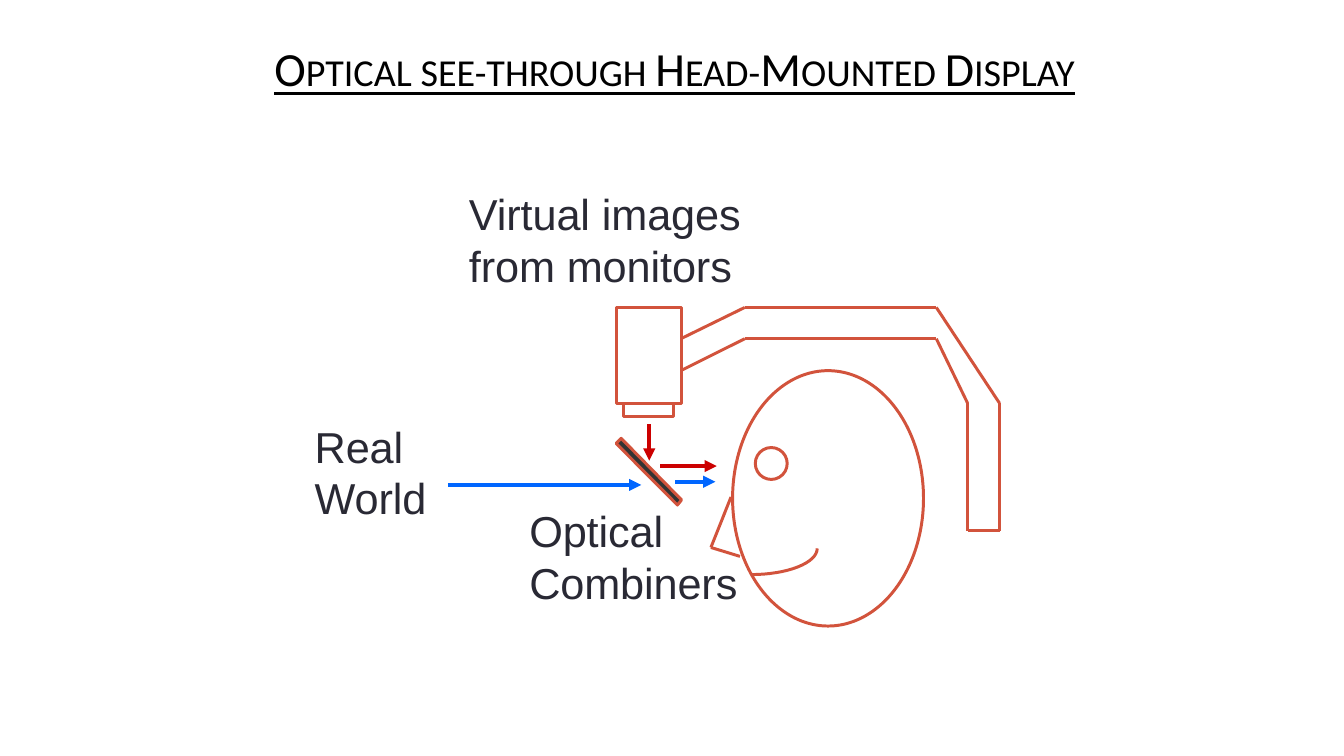
from itertools import pairwise
from math import cos, pi, sin

from lxml.etree import SubElement
from pptx import Presentation
from pptx.dml.color import RGBColor
from pptx.enum.shapes import MSO_CONNECTOR, MSO_SHAPE
from pptx.enum.text import MSO_ANCHOR, MSO_AUTO_SIZE, PP_ALIGN
from pptx.oxml.ns import qn
from pptx.util import Inches, Pt

OUTLINE, MIRROR, TEXT = "D2533C", "333333", "292934"
REAL_LIGHT, VIRTUAL_LIGHT = "0066FF", "CC0000"

deck = Presentation()
deck.slide_width, deck.slide_height = Inches(13.33), Inches(7.5)
page = deck.slides.add_slide(deck.slide_layouts[5])

grid_left, grid_top = Inches(6.12), Inches(3.05)
cell = Inches(3.8) / 12


def place(column, row):
    return round(grid_left + column * cell), round(grid_top + row * cell)


def paint(fill, color):
    fill.solid()
    fill.fore_color.rgb = RGBColor.from_string(color)


title = page.shapes.title
title.left, title.top = Inches(1.77), Inches(0.3)
title.width, title.height = Inches(9.84), Inches(0.85)
frame = title.text_frame
frame.text = "Optical see-through Head-Mounted Display"
frame.word_wrap = True
frame.auto_size = MSO_AUTO_SIZE.NONE
frame.vertical_anchor = MSO_ANCHOR.MIDDLE
para = frame.paragraphs[0]
para.alignment = PP_ALIGN.CENTER
para.line_spacing = 0.8
span = para.runs[0]
span.font.name, span.font.size = "Calibri", Pt(34)
span.font.underline = True
paint(span.font.fill, "000000")
span.font._element.set("cap", "small")

labels = [
    ("Virtual images from monitors", -4.67, -3.85, 8.62),
    ("Real World", -9.5, 3.44, 3.6),
    ("Optical Combiners", -2.78, 6.09, 6.6),
]
for words, column, row, columns in labels:
    box = page.shapes.add_textbox(*place(column, row), round(columns * cell), round(3.38 * cell))
    frame = box.text_frame
    frame.word_wrap = True
    frame.margin_left = Inches(0.01)
    frame.margin_right = frame.margin_bottom = 0
    frame.margin_top = Inches(0.03)
    frame.text = words
    para = frame.paragraphs[0]
    para.line_spacing = Pt(36.9)
    span = para.runs[0]
    span.font.name, span.font.size = "Arial", Pt(30.9)
    paint(span.font.fill, TEXT)
    span.font._element.set("spc", "-6")

drawing = []

presets = [
    (MSO_SHAPE.RECTANGLE, -0.03, 0, 2.06, 3),
    (MSO_SHAPE.RECTANGLE, 0.2, 3, 1.57, 0.41),
    (MSO_SHAPE.OVAL, 3.62, 1.98, 5.98, 8),
    (MSO_SHAPE.OVAL, 4.33, 4.39, 1, 1),
]
for kind, column, row, columns, rows in presets:
    shape = page.shapes.add_shape(kind, *place(column, row), round(columns * cell), round(rows * cell))
    drawing.append((shape, None))

mouth = [(4.2 + 2.07 * cos(step * pi / 32), 7.55 + 0.82 * sin(step * pi / 32)) for step in range(17)]
mirror = [(0.13, 4.1), (2.02, 6.03), (1.89, 6.19), (-0.03, 4.26)]
for points, closed, fill in [(mouth, False, None), (mirror, True, MIRROR)]:
    corners = [place(column, row) for column, row in points]
    builder = page.shapes.build_freeform(*corners[0])
    builder.add_line_segments(corners[1:], close=closed)
    drawing.append((builder.convert_to_shape(), fill))

for shape, fill in drawing:
    shape.shadow.inherit = False
    shape.line.width = Pt(2.12)
    paint(shape.line.fill, OUTLINE)
    if fill:
        paint(shape.fill, fill)
    else:
        shape.fill.background()

strap = [(2, 0.98), (4, 0), (10, 0), (11.98, 3), (11.98, 7), (10.98, 7), (10.98, 3), (10, 0.98), (4, 0.98), (2, 1.98)]
nose = [(3.57, 5.94), (2.94, 7.52), (3.85, 7.8)]
lines = [(start, end, OUTLINE, 2.12, False) for outline in (strap, nose) for start, end in pairwise(outline)]
lines += [
    ((-5.3, 5.56), (0.76, 5.56), REAL_LIGHT, 2.88, True),
    ((1.83, 5.46), (3.08, 5.46), REAL_LIGHT, 2.88, True),
    ((1.36, 4.97), (3.12, 4.97), VIRTUAL_LIGHT, 2.88, True),
    ((1.01, 3.66), (1.01, 4.8), VIRTUAL_LIGHT, 2.88, True),
]
for start, end, color, width, arrow in lines:
    line = page.shapes.add_connector(MSO_CONNECTOR.STRAIGHT, *place(*start), *place(*end))
    line.line.width = Pt(width)
    paint(line.line.fill, color)
    if arrow:
        SubElement(line.line._get_or_add_ln(), qn("a:tailEnd"), type="triangle", w="med", len="med")
    SubElement(line._element.spPr, qn("a:effectLst"))

deck.save("out.pptx")
